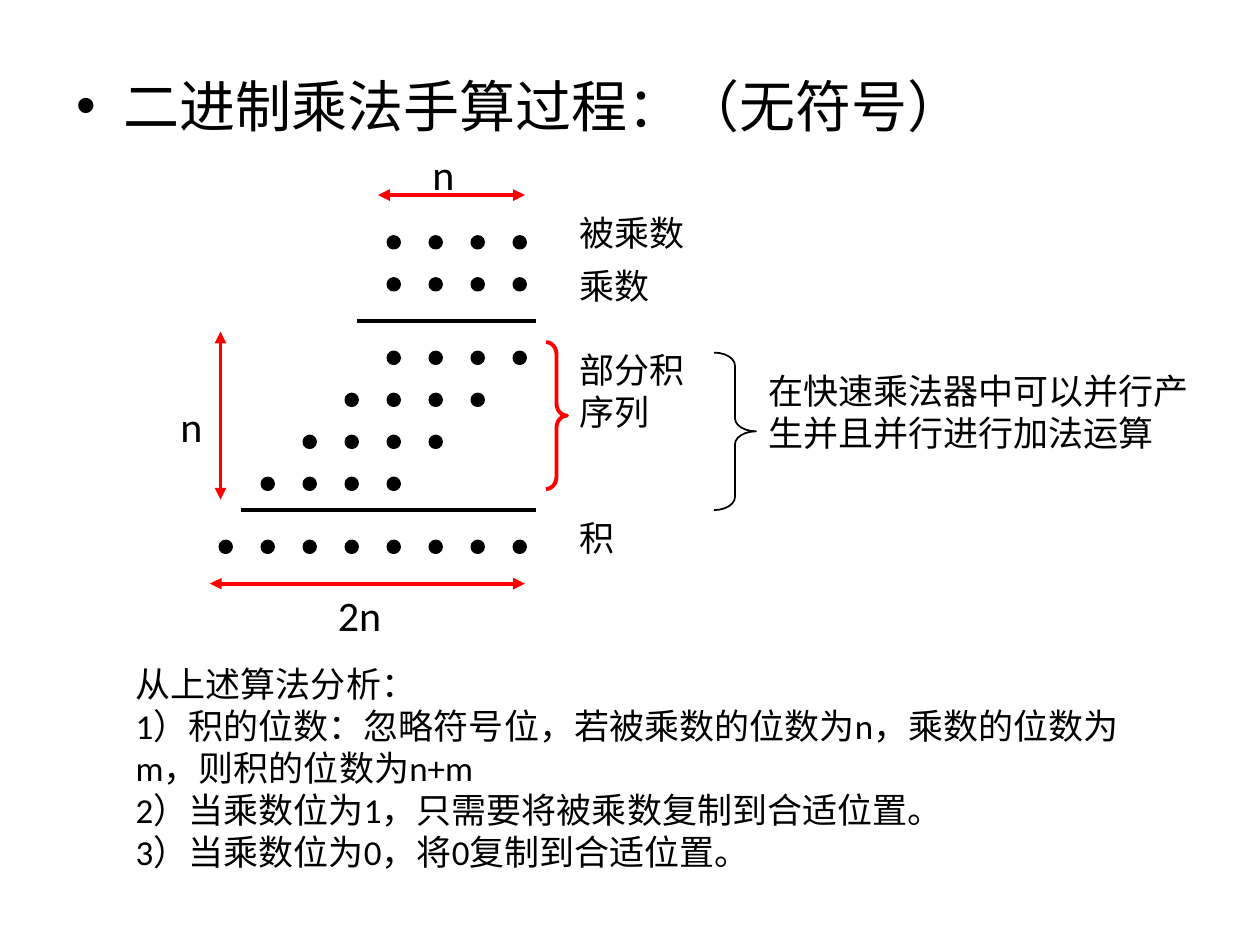
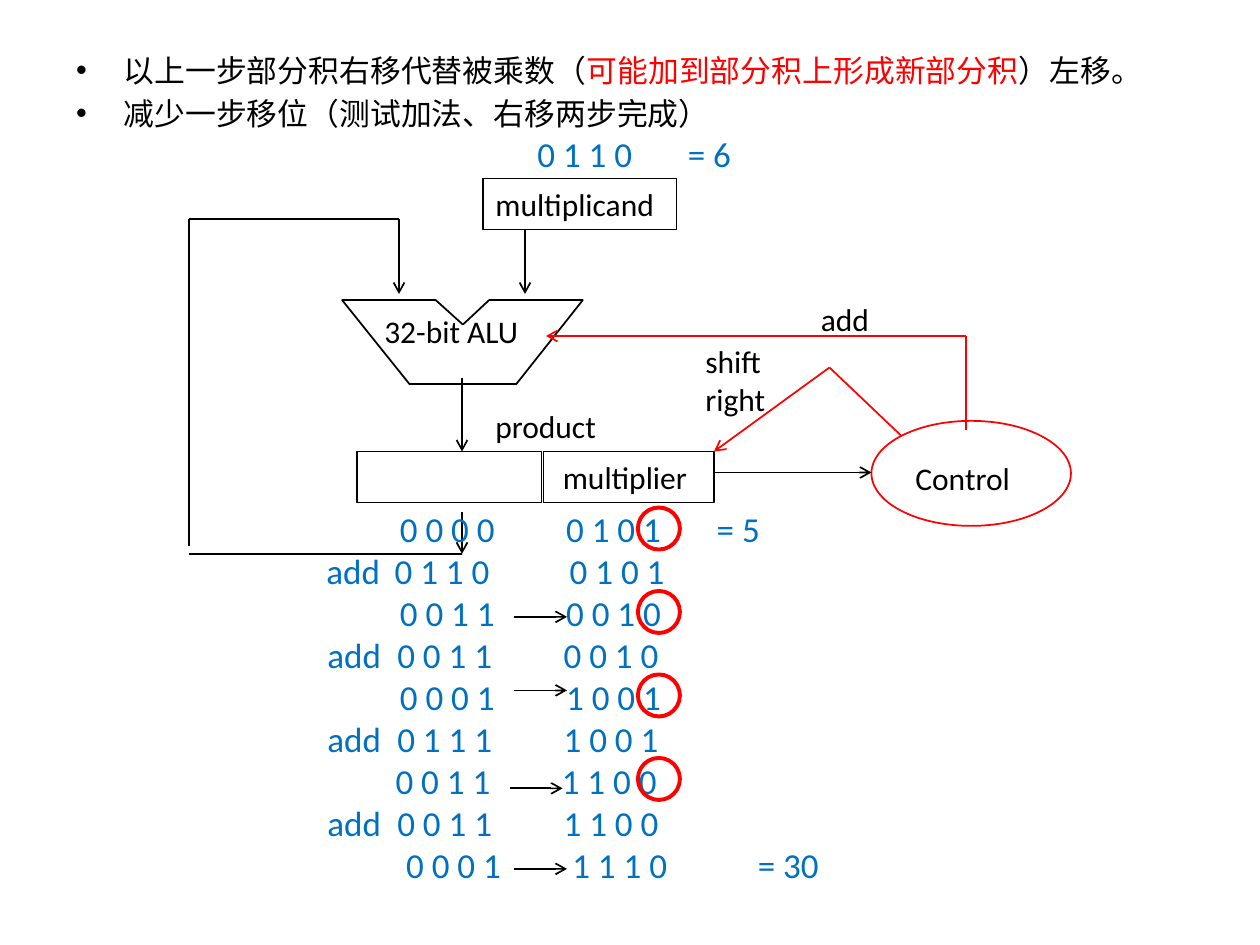
"""Build two slides on binary multiplication: by hand and in a shifting circuit."""
import pptx
import pptx.dml.color
import pptx.enum.shapes
import pptx.enum.text
import pptx.oxml.ns
import pptx.util
import lxml.etree

Pt = pptx.util.Pt
RGB = pptx.dml.color.RGBColor.from_string
Kind = pptx.enum.shapes.MSO_SHAPE
qn = pptx.oxml.ns.qn
HUES = {"black": "000000", "red": "FF0000", "blue": "0070C0"}
FONT = "Calibri"


def put(page, text, box, kind=None, size=20, hue="black", fill=None,
        line="black", weight=1, bullet=False, tabs=(), wrap=True):
    """Add a text box or preset shape; a text line may be a list of (run, hue)."""
    spot = [Pt(v) for v in box]
    if kind is None:
        shape = page.shapes.add_textbox(*spot)
    else:
        shape = page.shapes.add_shape(kind, *spot)
        shape.shadow.inherit = False
        shape.line.color.rgb = RGB(HUES[line])
        shape.line.width = Pt(weight)
        if fill:
            shape.fill.solid()
            shape.fill.fore_color.rgb = RGB(HUES[fill])
        else:
            shape.fill.background()
    if not text:
        return shape
    frame = shape.text_frame
    frame.word_wrap = wrap
    frame.vertical_anchor = pptx.enum.text.MSO_ANCHOR.TOP
    for i, row in enumerate([text] if isinstance(text, str) else text):
        para = frame.paragraphs[0] if i == 0 else frame.add_paragraph()
        para.alignment = pptx.enum.text.PP_ALIGN.LEFT
        props = para._p.get_or_add_pPr()
        if bullet:
            para.space_before = Pt(size * 0.2)
            props.set("marL", str(Pt(27)))
            props.set("indent", str(Pt(-27)))
            lxml.etree.SubElement(props, qn("a:buFont")).set("typeface", "Arial")
            lxml.etree.SubElement(props, qn("a:buChar")).set("char", "•")
        if tabs:
            stops = lxml.etree.SubElement(props, qn("a:tabLst"))
            for stop in tabs:
                tab = lxml.etree.SubElement(stops, qn("a:tab"))
                tab.set("pos", str(Pt(stop)))
                tab.set("algn", "l")
        for words, tint in [(row, hue)] if isinstance(row, str) else row:
            run = para.add_run()
            run.text = words
            run.font.size = Pt(size)
            run.font.name = FONT
            run.font.color.rgb = RGB(HUES[tint])
    return shape


def link(page, start, end, hue="black", weight=1, head=None, tail=None):
    """Draw a straight line with optional arrowheads."""
    wire = page.shapes.add_connector(
        pptx.enum.shapes.MSO_CONNECTOR.STRAIGHT, *[Pt(v) for v in (*start, *end)])
    wire.line.color.rgb = RGB(HUES[hue])
    wire.line.width = Pt(weight)
    props = wire._element.spPr
    for tag, tip in (("a:headEnd", head), ("a:tailEnd", tail)):
        if tip:
            lxml.etree.SubElement(props.find(qn("a:ln")), qn(tag)).set("type", tip)
    lxml.etree.SubElement(props, qn("a:effectLst"))


deck = pptx.Presentation()
deck.slide_width, deck.slide_height = Pt(720), Pt(540)
blank = deck.slide_layouts[6]

hand = deck.slides.add_slide(blank)
put(hand, "二进制乘法手算过程：（无符号）", (36.5, 37.5, 648, 45), size=32, bullet=True)
put(hand, ["从上述算法分析：",
           "1）积的位数：忽略符号位，若被乘数的位数为n，乘数的位数为m，则积的位数为n+m",
           "2）当乘数位为1，只需要将被乘数复制到合适位置。",
           "3）当乘数位为0，将0复制到合适位置。"], (70.5, 375, 601, 128))

for top, shift, count in ((135.5, 0, 4), (159.5, 0, 4), (201.5, 0, 4), (225.5, 1, 4),
                          (249.5, 2, 4), (273.5, 3, 4), (309.5, 0, 8)):
    for col in range(shift, shift + count):
        put(hand, "", (294 - 24 * col, top, 6, 6), Kind.OVAL, fill="black", weight=2.25)

for left, top in ((204, 183.5), (138, 291.5)):
    link(hand, (left, top), (306, top), weight=2.25)
for start, end in (((216, 111.5), (300, 111.5)), ((120, 333.5), (300, 333.5)),
                   ((126, 285.5), (126, 189.5))):
    link(hand, start, end, "red", 2.25, "triangle", "triangle")
for text, left, top in (("n", 240, 81.5), ("2n", 186, 333.5), ("n", 96, 225.5)):
    put(hand, text, (left, top, 42, 36), size=24)
for text, top, width, height in (("被乘数", 117.5, 228, 31.5), ("乘数", 147.5, 204, 31.5),
                                 (["部分积", "序列"], 195.5, 126, 55.5),
                                 ("积", 291.5, 288, 31.5)):
    put(hand, text, (324, top, width, height))
put(hand, "在快速乘法器中可以并行产生并且并行进行加法运算", (432, 207.5, 258, 55.5))
for box, hue, weight, curve in (((312, 195.5, 12, 84), "red", 2.25, 0.58),
                                ((408, 201.5, 24, 90), "black", 1, 0.31)):
    brace = put(hand, "", box, Kind.RIGHT_BRACE, line=hue, weight=weight)
    brace.adjustments[0] = curve

chip = deck.slides.add_slide(blank)
put(chip, [[("以上一步部分积右移代替被乘数（", "black"),
            ("可能加到部分积上形成新部分积", "red"), ("）左移。", "black")],
           "减少一步移位（测试加法、右移两步完成）"],
    (36.5, 26, 648, 61), size=17.6, bullet=True)

pen = chip.shapes.build_freeform(Pt(195.5), Pt(171.5))
pen.add_line_segments([(Pt(x), Pt(y)) for x, y in (
    (249, 171.5), (264.5, 185.5), (279.5, 171.5), (333, 171.5),
    (295, 219.5), (234, 219.5))], close=True)
alu = pen.convert_to_shape()
alu.shadow.inherit = False
alu.fill.background()
alu.line.color.rgb = RGB(HUES["black"])
alu.line.width = Pt(1)

for text, left, top, width in (("multiplicand", 276, 102, 110.5), ("", 204, 258, 105.5),
                               (" multiplier", 310.5, 258, 97.5)):
    put(chip, text, (left, top, width, 29), Kind.RECTANGLE, size=18, weight=0.75, wrap=False)
put(chip, "", (498, 240.5, 114, 60), Kind.OVAL, line="red")
for text, left, top, width, height in (
        ("32-bit ALU", 212.5, 174.5, 99, 29), ("Control", 516, 258.5, 73.5, 29),
        ("add", 462, 168, 44.5, 29), (["shift", "right"], 396, 192, 51, 51),
        ("product", 276, 229, 75, 29)):
    put(chip, text, (left, top, width, height), size=18, wrap=False)

for start, end, hue, tip in (
        ((264, 216), (264, 258), "black", "arrow"),
        ((300, 131), (300, 168), "black", "arrow"),
        ((264, 292.5), (264, 316.5), "black", "arrow"),
        ((264, 316.5), (108, 316.5), "black", None),
        ((108, 312), (108, 125), "black", None),
        ((108, 125), (228, 125), "black", None),
        ((228, 125), (228, 168), "black", "arrow"),
        ((408, 270), (498, 270), "black", "arrow"),
        ((552, 192), (552, 246), "red", None),
        ((552, 192), (312, 192), "red", "arrow"),
        ((515, 249), (474, 210), "red", None),
        ((474, 210), (408, 258), "red", "arrow")):
    link(chip, start, end, hue, tail=tip)

put(chip, "0 1 1 0\t= 6", (300, 72, 126, 31.5), hue="blue", tabs=(86,))
steps = (("0 0 0 0\t0 1 0 1\t= 5", 221.5, (95, 181)),
         ("add\t0 1 1 0\t0 1 0 1", 179.5, (39, 139)),
         ("0 0 1 1\t0 0 1 0", 221.5, (95,)),
         ("add\t0 0 1 1\t0 0 1 0", 180, (40, 135)),
         ("0 0 0 1\t1 0 0 1", 221.5, (95,)),
         ("add\t0 1 1 1\t1 0 0 1", 180, (40, 135)),
         ("0 0 1 1\t1 1 0 0", 219, (95,)),
         ("add\t0 0 1 1\t1 1 0 0", 180, (40, 135)),
         ("0 0 0 1\t1 1 1 0", 225, (95,)))
for i, (text, left, tabs) in enumerate(steps):
    put(chip, text, (left, 286.5 + 24 * i, 225, 31.5), hue="blue", tabs=tabs)
put(chip, "= 30", (426, 478.5, 50, 31.5), hue="blue", wrap=False)
for i in range(4):
    put(chip, "", (364.5, 290 + 47.7 * i, 24, 24), Kind.OVAL, line="red", weight=2.25)
for left, top in ((294, 352.5), (294, 394.5), (291.5, 450.5), (294, 496.5)):
    link(chip, (left, top), (left + 30, top), tail="arrow")

deck.save("out.pptx")
